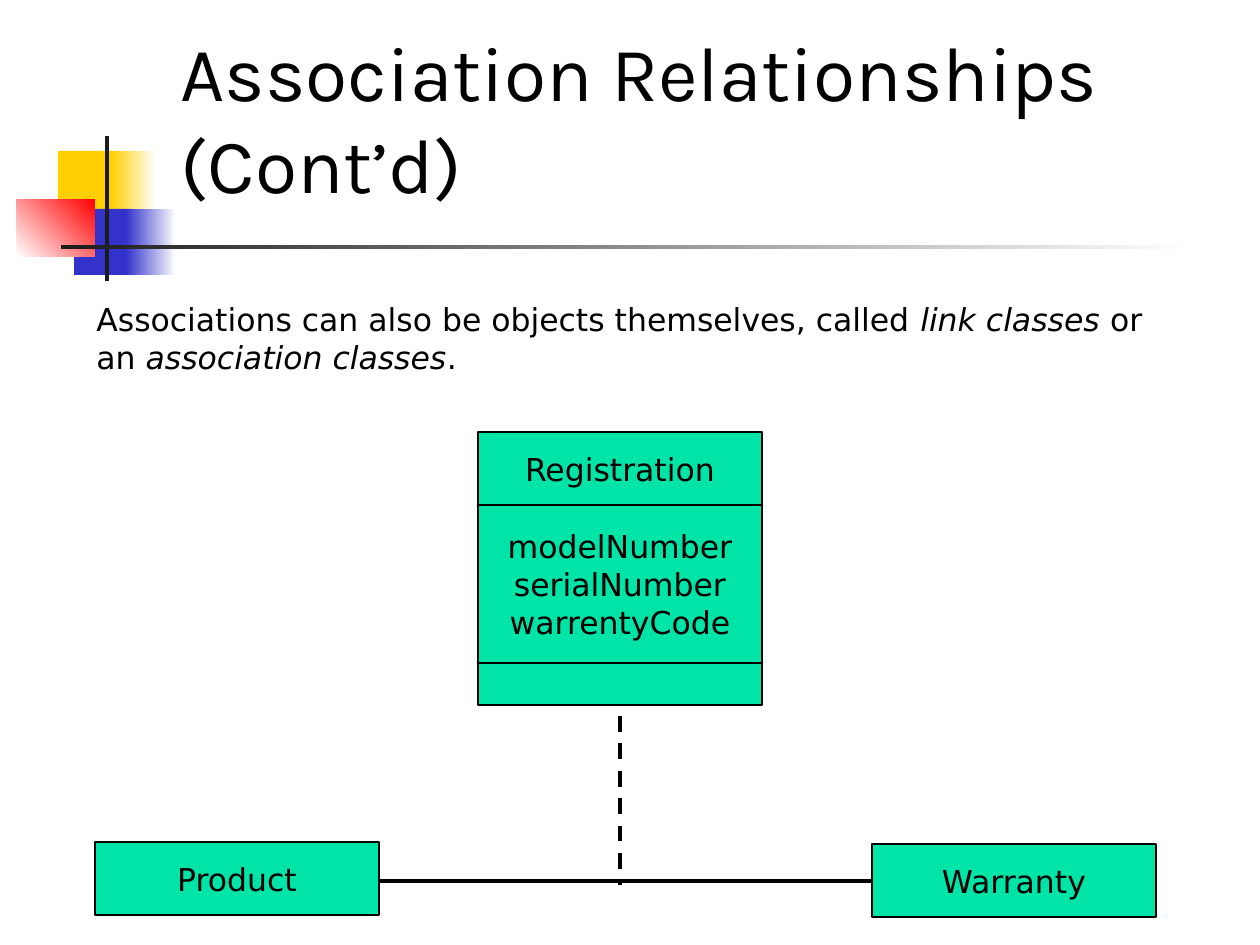
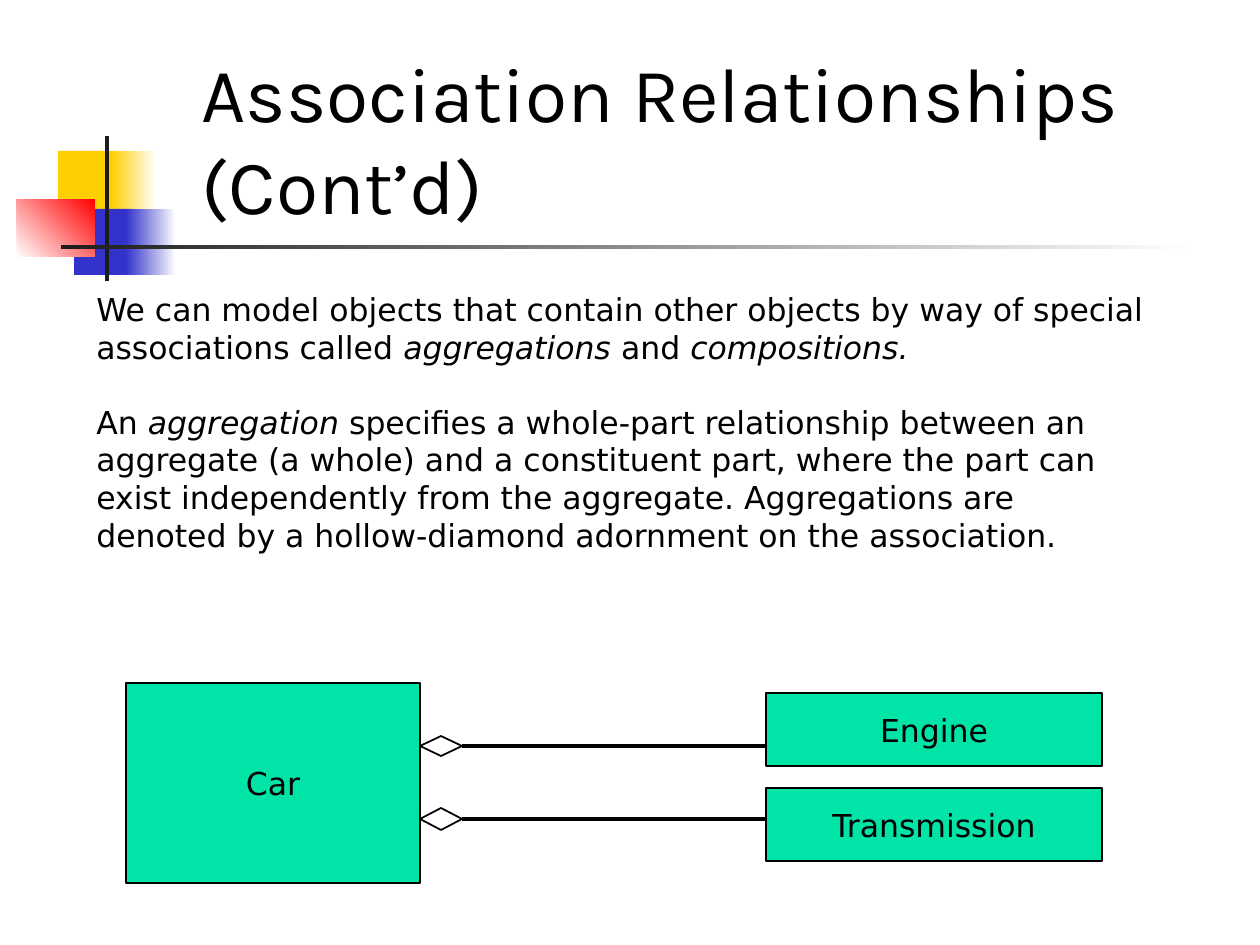
"""Two slides on association relationships between classes."""
from lxml import etree
from pptx import Presentation
from pptx import util as u
from pptx.dml.color import RGBColor
from pptx.enum import dml, shapes, text
from pptx.oxml.ns import qn

PX = u.Inches(1) / 126

BLACK = RGBColor(0x00, 0x00, 0x00)
WHITE = RGBColor(0xFF, 0xFF, 0xFF)
GREEN = RGBColor(0x00, 0xE4, 0xA8)
YELLOW = RGBColor(0xFF, 0xCF, 0x01)
BLUE = RGBColor(0x33, 0x33, 0xCC)
RED = RGBColor(0xFF, 0x00, 0x00)
CHARCOAL = RGBColor(0x1C, 0x1C, 0x1C)

TITLE_FONT = {"name": "Karla", "size": u.Pt(44)}
BODY_FONT = {"name": "DejaVu Sans", "size": u.Pt(18)}
TITLE_FRAME = {
    "auto_size": text.MSO_AUTO_SIZE.NONE,
    "vertical_anchor": text.MSO_ANCHOR.BOTTOM,
    "word_wrap": True,
    "margin_bottom": 0,
}
BODY_FRAME = {"word_wrap": True, "auto_size": text.MSO_AUTO_SIZE.SHAPE_TO_FIT_TEXT}
CLASS_FRAME = {"word_wrap": False, "vertical_anchor": text.MSO_ANCHOR.MIDDLE}

MOTIF = [
    ((58, 151, 60, 66), [YELLOW], 0),
    ((111, 151, 45, 66), [YELLOW, WHITE], 0),
    ((74, 209, 58, 66), [BLUE], 0),
    ((126, 209, 50, 66), [BLUE, WHITE], 0),
    ((17, 199, 78, 58), [WHITE, RED], 45),
    ((105, 136, 4, 145), [CHARCOAL], 0),
    ((61, 245, 1134, 4), [CHARCOAL, WHITE], 0),
]


def emu(*lengths):
    """Turn px lengths into EMU."""
    return [round(length * PX) for length in lengths]


def set_format(target, values):
    """Set each attribute named in a dict of format values."""
    for name, value in values.items():
        setattr(target, name, value)


def add_span(para, words, font, italic=False):
    """Add a black run to a paragraph."""
    span = para.add_run()
    span.text = words
    set_format(span.font, {**font, "italic": italic})
    span.font.color.rgb = BLACK


def add_rect(page, *place):
    """Add a rectangle without shadow."""
    box = page.shapes.add_shape(shapes.MSO_SHAPE.RECTANGLE, *emu(*place))
    box.shadow.inherit = False
    return box


def move_motif_to_layout(page):
    """Build the coloured squares and rules, and hand them to the layout."""
    for place, colours, angle in MOTIF:
        box = add_rect(page, *place)
        box.line.fill.background()
        if len(colours) == 1:
            box.fill.solid()
            box.fill.fore_color.rgb = colours[0]
        else:
            box.fill.gradient()
            box.fill.gradient_angle = angle
            for stop, colour in zip(box.fill.gradient_stops, colours):
                stop.color.rgb = colour
        page.slide_layout.shapes.element.append(box.element)


def fill_title(page, left, top):
    """Place the shared heading in the title placeholder."""
    title = page.shapes.title
    title.left, title.top, title.width, title.height = emu(left, top, 1113, 73)
    set_format(title.text_frame, TITLE_FRAME)
    para = title.text_frame.paragraphs[0]
    para.alignment = text.PP_ALIGN.LEFT
    add_span(para, "Association Relationships (Cont’d)", TITLE_FONT)


def add_body(page, place, paragraphs):
    """Add running text, where every second part of a paragraph is italic."""
    frame = page.shapes.add_textbox(*emu(*place)).text_frame
    set_format(frame, BODY_FRAME)
    for index, parts in enumerate(paragraphs):
        para = frame.add_paragraph() if index else frame.paragraphs[0]
        if index:
            para.space_before = u.Pt(21)
        for position, words in enumerate(parts):
            add_span(para, words, BODY_FONT, position % 2 == 1)


def add_class(page, place, *lines):
    """Add a green class box with centred lines of text."""
    box = add_rect(page, *place)
    box.fill.solid()
    box.fill.fore_color.rgb = GREEN
    box.line.color.rgb = BLACK
    box.line.width = u.Pt(0.75)
    frame = box.text_frame
    set_format(frame, CLASS_FRAME)
    for index, words in enumerate(lines):
        para = frame.add_paragraph() if index else frame.paragraphs[0]
        para.alignment = text.PP_ALIGN.CENTER
        add_span(para, words, BODY_FONT)


def add_link(page, start, end, dash=None):
    """Add a straight association line."""
    link = page.shapes.add_connector(shapes.MSO_CONNECTOR.STRAIGHT, *emu(*start, *end))
    link.line.color.rgb = BLACK
    set_format(link.line, {"width": u.Pt(2.25), "dash_style": dash})
    etree.SubElement(link.element.spPr, qn("a:effectLst"))


def add_diamond(page, left, middle, width, height):
    """Add the hollow diamond of an aggregation."""
    builder = page.shapes.build_freeform(left, middle, scale=PX)
    center = left + width / 2
    builder.add_line_segments(
        [(center, middle - height / 2), (left + width, middle), (center, middle + height / 2)]
    )
    diamond = builder.convert_to_shape()
    diamond.shadow.inherit = False
    diamond.fill.solid()
    diamond.fill.fore_color.rgb = WHITE
    diamond.line.color.rgb = BLACK
    diamond.line.width = u.Pt(1)


def draw_link_class(page, left, top):
    """Draw two associated classes and the class of their link."""
    width, height = 284, 73
    axis, middle = left + 525, top + 449
    add_link(page, (left + width, middle), (left + 777, middle))
    add_class(page, (left + 777, top + 412, width, height), "Warranty")
    add_class(page, (left, top + 410, width, height), "Product")
    add_link(page, (axis, top + 284), (axis, top + 453), dml.MSO_LINE.DASH)
    compartments = [
        (42, []),
        (158, ["modelNumber", "serialNumber", "warrentyCode"]),
        (height, ["Registration"]),
    ]
    bottom = top + sum(part for part, _ in compartments)
    for part, lines in compartments:
        bottom -= part
        add_class(page, (axis - width / 2, bottom, width, part), *lines)


def draw_aggregation(page, left, top):
    """Draw a whole with its parts joined by hollow diamonds."""
    whole, diamond, part_left = 294, 42, left + 640
    add_class(page, (left, top, whole, 200), "Car")
    for name, part_top, link_top in [("Engine", 10, 63), ("Transmission", 105, 136)]:
        middle = top + link_top
        add_class(page, (part_left, top + part_top, 336, 73), name)
        add_link(page, (left + whole + diamond, middle), (part_left, middle))
        add_diamond(page, left + whole, middle, diamond, 21)


def main():
    """Build and save the deck."""
    deck = Presentation()
    deck.slide_width, deck.slide_height = u.Inches(10), u.Inches(7.5)
    layout = deck.slide_layouts[5]

    page = deck.slides.add_slide(layout)
    move_motif_to_layout(page)
    fill_title(page, 168, 136)
    add_body(page, (84, 294, 1118, 88), [
        ["Associations can also be objects themselves, called ", "link classes",
         " or an ", "association classes", "."],
    ])
    draw_link_class(page, 95, 432)

    page = deck.slides.add_slide(layout)
    fill_title(page, 189, 157)
    add_body(page, (84, 284, 1081, 277), [
        ["We can model objects that contain other objects by way of special "
         "associations called ", "aggregations", " and ", "compositions."],
        ["An ", "aggregation",
         " specifies a whole-part relationship between an aggregate (a whole) and a "
         "constituent part, where the part can exist independently from the aggregate. "
         "Aggregations are denoted by a hollow-diamond adornment on the association."],
    ])
    draw_aggregation(page, 126, 683)

    deck.save("out.pptx")


if __name__ == "__main__":
    main()
